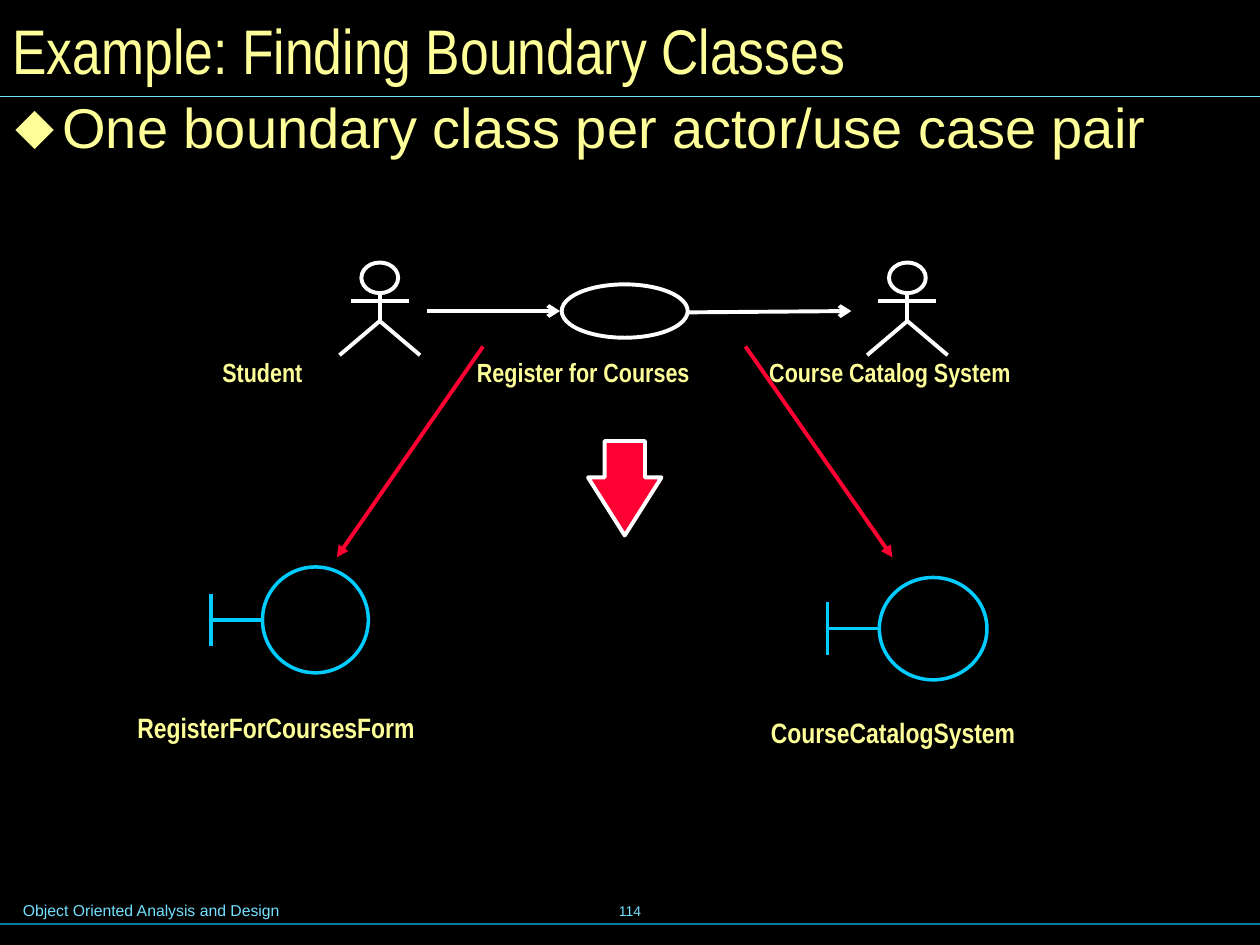
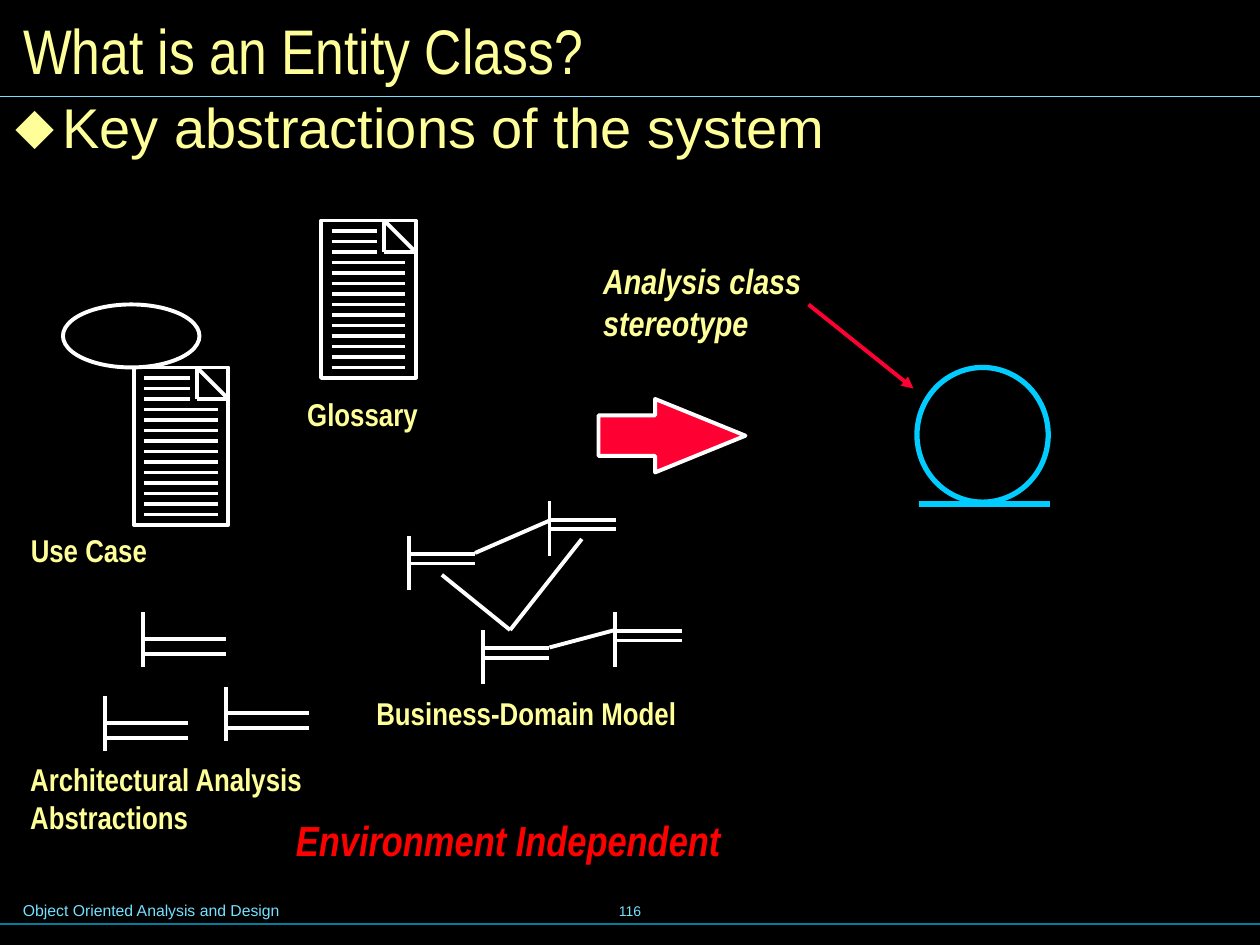
from lxml import etree
from pptx import Presentation
from pptx.dml.color import RGBColor
from pptx.enum import shapes as sh, text as tx
from pptx.oxml import ns
from pptx.util import Pt

# ---- Shared look ----
HUE = {"back": "000000", "cream": "FFFF99", "white": "FFFFFF", "red": "FF0033",
       "alert": "FF0000", "cyan": "00CCFF", "sky": "73E1FF", "teal": "007E9F"}
NARROW, PLAIN = "Arial Narrow", "Arial"
FOOT = "Object Oriented Analysis and Design"
SMALL, WIDE, NONE = (7.2, 3.6), (8.64, 4.32), (0, 0)    # side and top insets

# ---- Content, in points: boxes are (left, top, width, height) ----
ACTORS = {
    "title": "Example: Finding Boundary Classes", "left": 0, "width": 715,
    "point": "One boundary class per actor/use case pair", "page": "114",
    "labels": [
        ("Student", (120, 200, 194, 25), dict(size=15)),
        ("Course Catalog System", (432.5, 200, 194, 25), dict(size=15)),
        ("Register for Courses", (265.5, 200, 180, 25), dict(size=15)),
        ("RegisterForCoursesForm", (78.5, 406, 158.5, 19.5),
         dict(size=16, pad=NONE, wrap=False)),
        ("CourseCatalogSystem", (440.5, 409, 139.5, 19.5),
         dict(size=16, pad=NONE, wrap=False)),
    ],
    "men": [(217, 150), (518.5, 150)],                  # centre, top of head
    "calls": [(244, 177.75, 320, 177.75), (393, 178.5, 486.5, 177.75)],
    "maps": [(276, 198, 192.5, 318.5), (426, 198, 510, 318.5)],
    "case": (321, 162.5, 72, 30.5),
    "arrow": (330, 258, 54, 42),
    "bounds": [(150, 324, 60.5, 60.5), (502.5, 330, 61.5, 58.5)],
}
ENTITY = {
    "title": "What is an Entity Class?", "left": 6, "width": 708.5,
    "point": "Key abstractions of the system", "page": "116",
    "labels": [
        ("Glossary", (168.5, 222, 78, 29), dict(wrap=False)),
        ("Business-Domain Model", (208, 393, 186, 29), dict(wrap=False)),
        ("Environment Independent", (162, 462, 408, 36),
         dict(size=24, hue="alert", slant=True)),
        ("Analysis class stereotype", (336, 144, 168, 57),
         dict(size=20, slant=True, pad=WIDE)),
        ("Use Case", (10.5, 300, 198, 29), {}),
        ("Architectural Analysis Abstractions", (8.64, 430, 219, 52),
         dict(pad=WIDE)),
    ],
    "docs": [(183.5, 126), (76.5, 210)],
    "case": (36, 174, 78, 36),
    "arrow": (342, 228, 84, 42),
    "domain": [(233.5, 306), (314, 286.5), (276, 360), (351.5, 350)],
    "links": [(291.5, 360, 252.5, 328.5), (271.5, 316, 314, 297.5),
              (314, 370, 351.5, 360), (291.5, 360, 332.5, 308)],
    "drafts": [(81.5, 350), (129, 392.5), (60, 398)],
    "note": (462, 174, 522, 222),
    "ring": (524, 210, 75, 77),
}


# ---- Drawing tools ----
def color(hue):
    return RGBColor.from_string(HUE[hue])


def write(frame, words, size=18, hue="cream", font=NARROW, bold=True, slant=False,
          pad=SMALL, wrap=True, align="LEFT", anchor="TOP"):
    frame.word_wrap = wrap
    frame.auto_size = tx.MSO_AUTO_SIZE.NONE
    frame.vertical_anchor = getattr(tx.MSO_ANCHOR, anchor)
    frame.margin_left = frame.margin_right = Pt(pad[0])
    frame.margin_top = frame.margin_bottom = Pt(pad[1])
    para = frame.paragraphs[0]
    para.alignment = getattr(tx.PP_ALIGN, align)
    para.space_before = Pt(0)
    run = para.add_run()
    run.text = words
    face = run.font
    face.name, face.size, face.bold, face.italic = font, Pt(size), bold, slant
    face.color.rgb = color(hue)
    return para


def label(slide, words, box, **fmt):
    write(slide.shapes.add_textbox(*map(Pt, box)).text_frame, words, **fmt)


def line(slide, ends, hue="white", width=2.25, head=None):
    link = slide.shapes.add_connector(sh.MSO_CONNECTOR.STRAIGHT, *map(Pt, ends))
    link.line.color.rgb = color(hue)
    link.line.width = Pt(width)
    if head:
        tip = etree.SubElement(link.line._get_or_add_ln(), ns.qn("a:tailEnd"))
        tip.set("type", head)
    etree.SubElement(link._element.spPr, ns.qn("a:effectLst"))


def dress(form, hue="white", width=2.25, fill=None):
    form.shadow.inherit = False
    form.line.color.rgb = color(hue)
    form.line.width = Pt(width)
    if fill:
        form.fill.solid()
        form.fill.fore_color.rgb = color(fill)
    else:
        form.fill.background()


def shape(slide, kind, box, **look):
    form = slide.shapes.add_shape(getattr(sh.MSO_SHAPE, kind), *map(Pt, box))
    dress(form, **look)
    return form


# ---- Symbols ----
def actor(slide, mid, top):
    hip = top + 33.5
    shape(slide, "OVAL", (mid - 10.5, top, 21, 17.5))
    line(slide, (mid, top + 17.5, mid, hip))
    line(slide, (mid - 16.5, top + 22, mid + 16.5, top + 22))
    legs = slide.shapes.build_freeform(Pt(mid - 23), Pt(hip + 19.5), scale=1.0)
    legs.add_line_segments([(Pt(mid), Pt(hip)), (Pt(mid + 23), Pt(hip + 19.5))],
                           close=False)
    dress(legs.convert_to_shape())


def bound(slide, box):
    left, top, _, high = box
    mid, stem = top + high / 2, left - 29.5
    look = dict(hue="cyan", width=2)
    shape(slide, "OVAL", box, **look)
    line(slide, (stem, mid - 15, stem, mid + 15), **look)
    line(slide, (stem, mid, left, mid), **look)


def page(slide, left, top, wide=54, high=90, fold=18, step=6):
    right, crease = left + wide, left + wide - fold
    shape(slide, "RECTANGLE", (left, top, wide, high))
    for ends in [(crease, top, right, top + fold), (crease, top, crease, top + fold),
                 (right, top + fold, crease, top + fold)]:
        line(slide, ends)
    for row in range(1, high // step):
        y = top + row * step
        span = 26 if row * step <= fold else 42
        line(slide, (left + step, y, left + step + span, y))


def glyph(slide, x, y, wide, bars):
    line(slide, (x, y, x, y + 31))
    for drop in bars:
        line(slide, (x, y + drop, x + wide, y + drop))


def block(slide, box, neck, head, turn=0):
    form = shape(slide, "RIGHT_ARROW", box, fill="red")
    form.adjustments[0], form.adjustments[1] = neck, head
    form.rotation = turn


# ---- Slides ----
def place(holder, box):
    holder.left, holder.top, holder.width, holder.height = map(Pt, box)
    return holder.text_frame


def start(deck, data):
    slide = deck.slides.add_slide(deck.slide_layouts[1])
    title, body = slide.placeholders
    write(place(title, (data["left"], 0, data["width"], 56)), data["title"],
          size=36, bold=False, anchor="MIDDLE")
    para = write(place(body, (0, 56, 668, 397.5)), data["point"],
                 size=32, font=PLAIN, bold=False, pad=WIDE)
    props = para._p.get_or_add_pPr()
    props.set("marL", str(Pt(27)))
    props.set("indent", str(Pt(-27)))
    tint = etree.SubElement(props, ns.qn("a:buClr"))
    etree.SubElement(tint, ns.qn("a:srgbClr")).set("val", HUE["cream"])
    etree.SubElement(props, ns.qn("a:buChar")).set("char", "⬥")
    para.line_spacing = 0.8

    # Rules and footer
    line(slide, (0, 55, 720, 55), hue="sky", width=0.75)
    line(slide, (0, 528, 720, 528), hue="teal", width=0.75)
    foot = dict(hue="sky", font=PLAIN, bold=False)
    label(slide, FOOT, (6, 511, 367, 18), size=9, **foot)
    label(slide, data["page"], (246, 502.5, 228, 36), size=8, align="CENTER",
          anchor="MIDDLE", **foot)
    for words, box, fmt in data["labels"]:
        label(slide, words, box, **fmt)
    shape(slide, "OVAL", data["case"])
    return slide


def actors(deck, data=ACTORS):
    slide = start(deck, data)
    for spot in data["men"]:
        actor(slide, *spot)
    for ends in data["calls"]:
        line(slide, ends, head="arrow")
    for ends in data["maps"]:
        line(slide, ends, hue="red", head="triangle")
    block(slide, data["arrow"], 0.55, 0.79, turn=90)
    for box in data["bounds"]:
        bound(slide, box)


def entity(deck, data=ENTITY):
    slide = start(deck, data)
    for spot in data["docs"]:
        page(slide, *spot)
    for spot in data["domain"]:
        glyph(slide, *spot, wide=38, bars=(10.5, 16))
    for ends in data["links"]:
        line(slide, ends)
    for spot in data["drafts"]:
        glyph(slide, *spot, wide=47.5, bars=(15, 23.5))
    block(slide, data["arrow"], 0.55, 1.23)
    line(slide, data["note"], hue="red", head="triangle")

    # Entity symbol: a ring resting on its base line
    left, top, wide, high = data["ring"]
    base = top + high + 1
    shape(slide, "OVAL", data["ring"], hue="cyan", width=3)
    line(slide, (left + 1, base, left + wide + 1, base), hue="cyan", width=3)


def main():
    deck = Presentation()
    deck.slide_width, deck.slide_height = Pt(720), Pt(540)
    back = deck.slide_master.background.fill
    back.solid()
    back.fore_color.rgb = color("back")
    actors(deck)
    entity(deck)
    deck.save("out.pptx")


if __name__ == "__main__":
    main()
